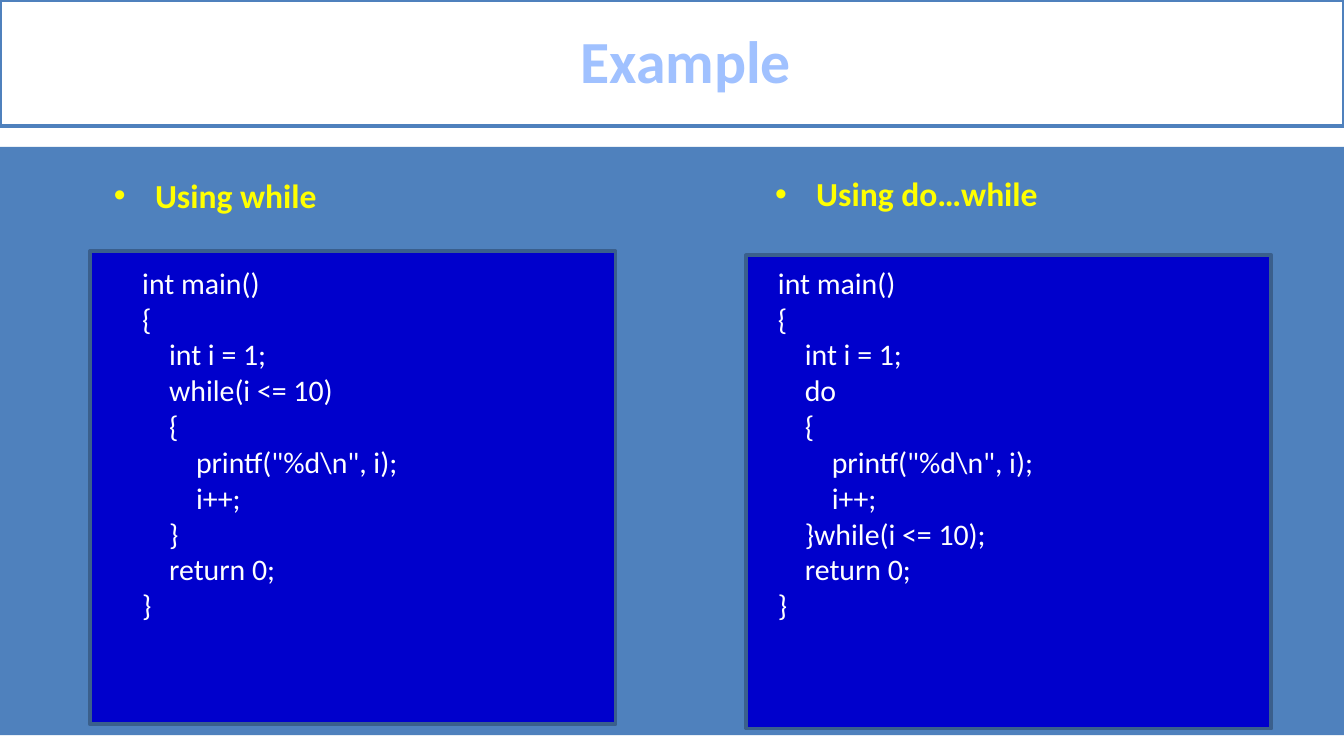
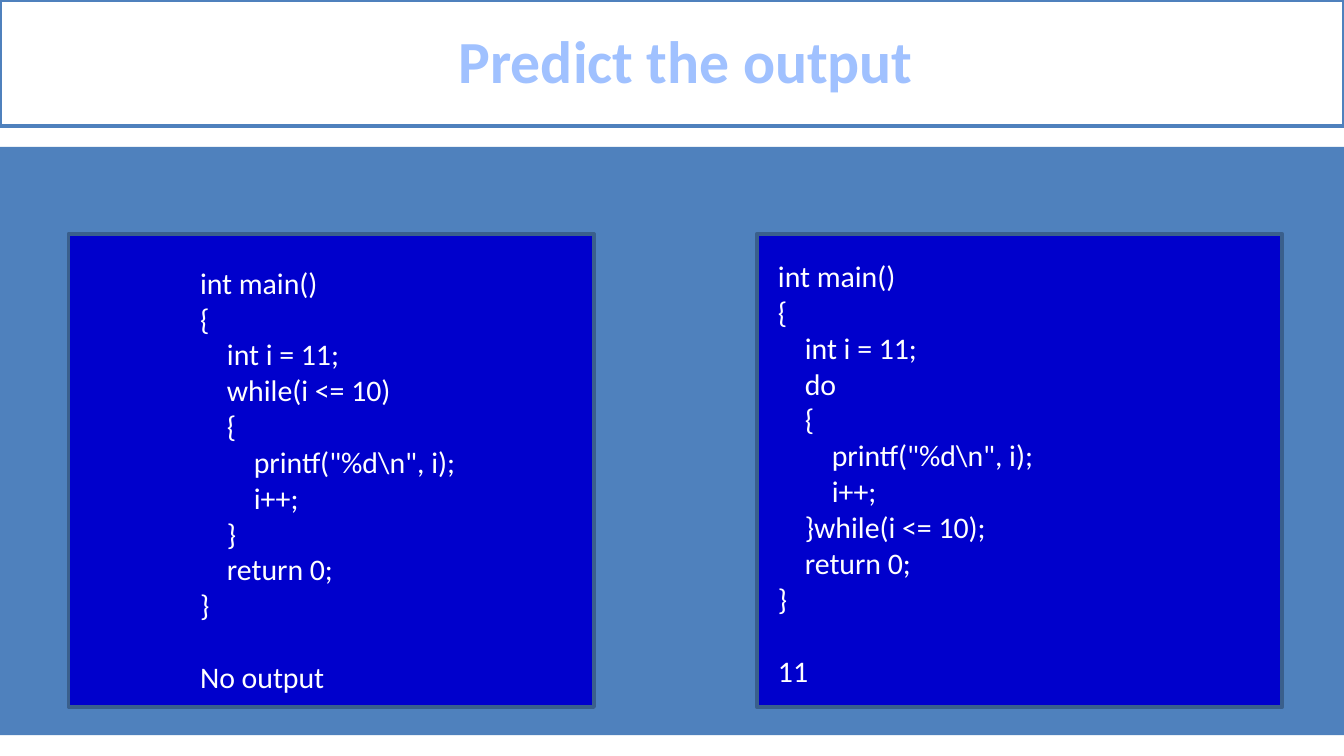
from pptx import Presentation
from pptx.dml.color import RGBColor
from pptx.enum.shapes import MSO_SHAPE
from pptx.enum.text import MSO_ANCHOR, MSO_AUTO_SIZE, PP_ALIGN
from pptx.util import Pt
from lxml.etree import SubElement
from pptx.oxml.ns import qn

COLORS = {
    "white": "FFFFFF",
    "band": "4F81BD",
    "title": "A0C1FF",
    "panel": "0000CC",
    "panel_edge": "3A5F8C",
    "heading": "FFFF00",
}
FONT = "Calibri"
PAGE_WIDTH, PAGE_HEIGHT = 720, 405
PANEL_SIZE = (281.5, 253.5)
CODE_WIDTH = 337.7
CODE_LINE = 19.5


def color(name):
    return RGBColor.from_string(COLORS[name])


def set_font(para, size, color_name, bold=False):
    para.font.name = FONT
    para.font.size = Pt(size)
    para.font.bold = bold
    para.font.color.rgb = color(color_name)


def set_indent(para, margin, first_line):
    properties = para._p.get_or_add_pPr()
    properties.set("marL", str(Pt(margin)))
    properties.set("indent", str(Pt(first_line)))
    return properties


def add_rectangle(page, box, fill, edge=None):
    shape = page.shapes.add_shape(MSO_SHAPE.RECTANGLE, *map(Pt, box))
    shape.shadow.inherit = False
    shape.fill.solid()
    shape.fill.fore_color.rgb = color(fill)
    if edge:
        shape.line.color.rgb = color(edge)
        shape.line.width = Pt(2)
    else:
        shape.line.fill.background()
    return shape


def add_text_frame(page, box):
    frame = page.shapes.add_textbox(*map(Pt, box)).text_frame
    frame.word_wrap = True
    frame.auto_size = MSO_AUTO_SIZE.SHAPE_TO_FIT_TEXT
    return frame


def add_frame(page, title):
    # Body band, then the outlined title bar
    add_rectangle(page, (0, 78.7, PAGE_WIDTH, 315.2), "band")
    bar = add_rectangle(page, (0, 0, PAGE_WIDTH, 67.5), "white", "band")
    bar.text_frame.vertical_anchor = MSO_ANCHOR.MIDDLE
    para = bar.text_frame.paragraphs[0]
    para.text = title
    para.alignment = PP_ALIGN.CENTER
    para.line_spacing = 0.96
    set_indent(para, 15, 0)
    set_font(para, 32, "title", bold=True)


def add_heading(page, box, text):
    para = add_text_frame(page, box).paragraphs[0]
    para.text = text
    properties = set_indent(para, 76, -22)
    SubElement(properties, qn("a:buFont")).set("typeface", "Arial")
    SubElement(properties, qn("a:buChar")).set("char", "•")
    set_font(para, 18, "heading", bold=True)


def add_code_panel(page, corner, text_offset, lines, output=None):
    # Panel, with the listing placed relative to its corner
    add_rectangle(page, (*corner, *PANEL_SIZE), "panel", "panel_edge")
    left, top = (edge + shift for edge, shift in zip(corner, text_offset))
    rows = len(lines) + (2 if output else 0)
    frame = add_text_frame(page, (left, top, CODE_WIDTH, rows * CODE_LINE + 7))
    for index, line in enumerate(lines + ([output] if output else [])):
        para = frame.add_paragraph() if index else frame.paragraphs[0]
        para.text = line
        set_indent(para, 99, -27)
        set_font(para, 16, "white")
    # Program output stands one line below the listing
    if output:
        para.space_before = Pt(CODE_LINE)


def loop_program(start, opening, closing):
    return [
        "int main()",
        "{",
        f"    int i = {start};",
        f"    {opening}",
        "    {",
        '        printf("%d\\n", i);',
        "        i++;",
        f"    {closing}",
        "    return 0;",
        "}",
    ]


def while_program(start):
    return loop_program(start, "while(i <= 10)", "}")


def do_while_program(start):
    return loop_program(start, "do", "}while(i <= 10);")


def add_example_page(page):
    add_frame(page, "Example")
    add_code_panel(page, (48.2, 134.6), (-51.1, 3.6), while_program(1))
    add_heading(page, (0, 90, 216, 29), "Using while")
    add_code_panel(page, (399.6, 136.8), (-61.9, 1.4), do_while_program(1))
    add_heading(page, (354.2, 89.3, 385.2, 29), "Using do…while")


def add_prediction_page(page):
    add_frame(page, "Predict the output")
    add_code_panel(page, (36.7, 125.3), (-8.6, 12.9), while_program(11), "No output")
    add_code_panel(page, (405.4, 125.3), (-67.7, 9.3), do_while_program(11), "11")


def main():
    deck = Presentation()
    deck.slide_width, deck.slide_height = Pt(PAGE_WIDTH), Pt(PAGE_HEIGHT)
    for fill_page in (add_example_page, add_prediction_page):
        fill_page(deck.slides.add_slide(deck.slide_layouts[6]))
    deck.save("out.pptx")


if __name__ == "__main__":
    main()
